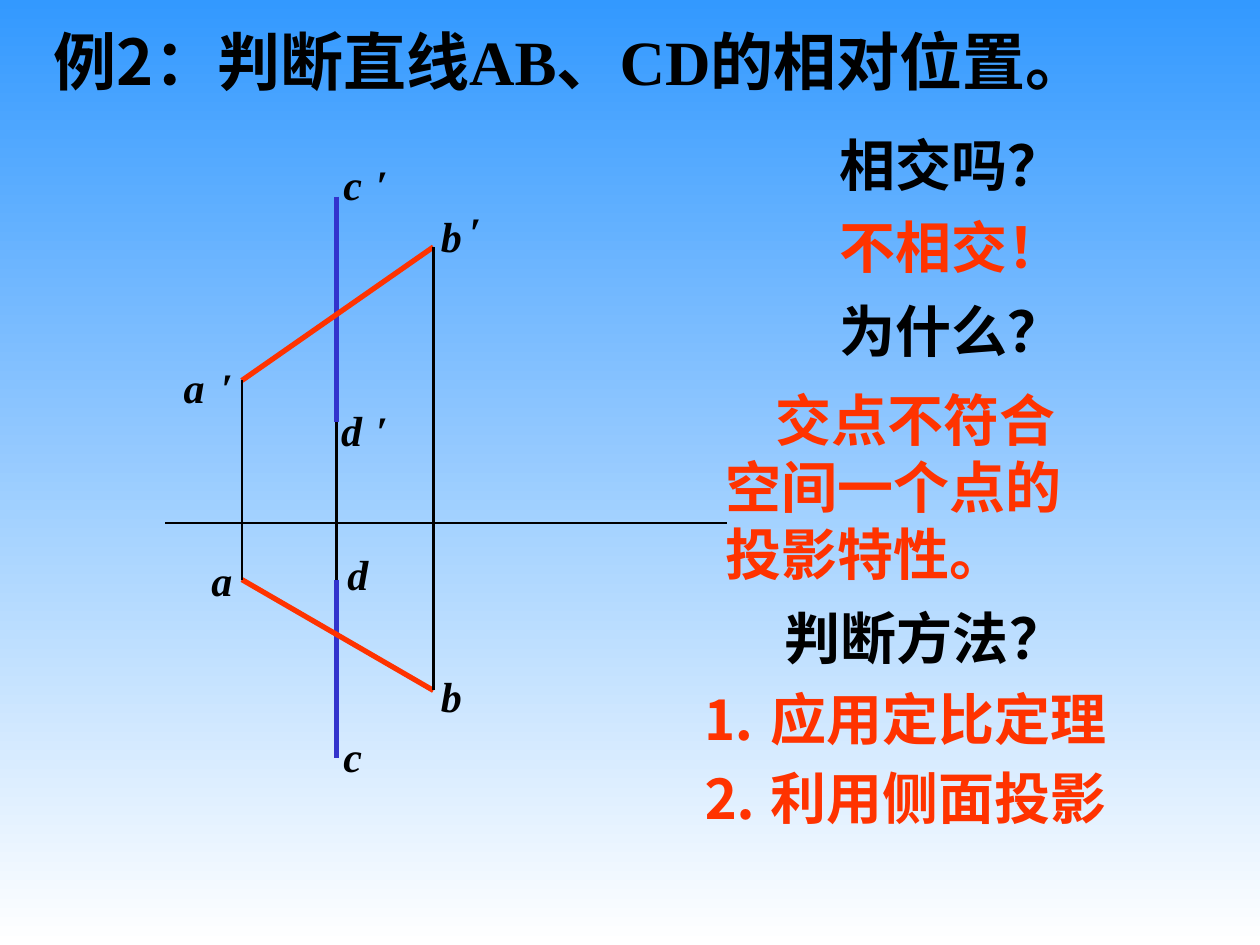
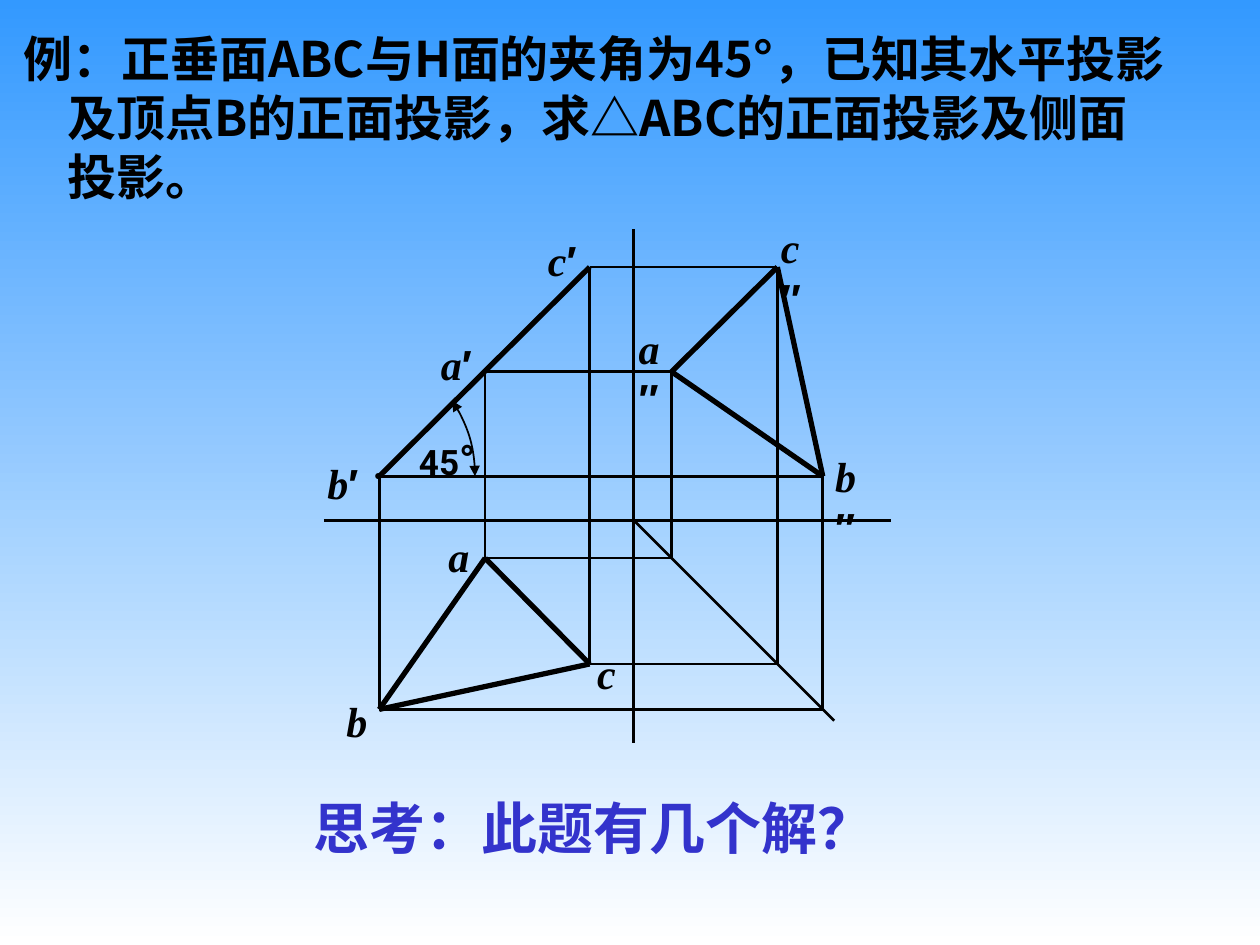
from lxml import etree
from pptx import Presentation
from pptx.dml.color import RGBColor
from pptx.enum.shapes import MSO_CONNECTOR as Connector, MSO_SHAPE as Shape
from pptx.enum.text import MSO_ANCHOR as Anchor, MSO_AUTO_SIZE as AutoSize, PP_ALIGN as Align
from pptx.oxml.ns import qn
from pptx.util import Inches, Pt

COLORS = {"sky": "3399FF", "white": "FFFFFF", "black": "000000", "blue": "3333CC", "red": "FF3300"}
SERIF, SANS, CJK, DIGITS = "Times New Roman", "Arial", "Noto Sans CJK SC", "Roboto"
THIN, THICK = 1.5, 3
PRIME = "′"


def rgb(name):
    return RGBColor.from_string(COLORS[name])


def add_slide(deck):
    slide = deck.slides.add_slide(deck.slide_layouts[6])
    fill = slide.background.fill
    fill.gradient()
    fill.gradient_angle = 270
    for stop, color in zip(fill.gradient_stops, ("sky", "white")):
        stop.color.rgb = rgb(color)
    return slide


def add_line(slide, start, end, color="black", width=THIN):
    line = slide.shapes.add_connector(
        Connector.STRAIGHT, *(Inches(value) for value in (*start, *end)))
    line.line.color.rgb = rgb(color)
    line.line.width = Pt(width)
    etree.SubElement(line._element.spPr, qn("a:effectLst"))


def add_run(paragraph, size, color, text, font, italic=False, own_size=None):
    run = paragraph.add_run()
    run.text = text
    run.font.size = Pt(own_size or size)
    run.font.name = font
    run.font.bold = True
    run.font.italic = italic
    run.font.color.rgb = rgb(color)


def add_text(slide, box, lines, size, color="black", wrap=False,
             anchor=Anchor.MIDDLE, align=Align.LEFT, indents=None, first_indent=0):
    frame = slide.shapes.add_textbox(*(Inches(value) for value in box)).text_frame
    frame.word_wrap = wrap
    frame.auto_size = AutoSize.SHAPE_TO_FIT_TEXT
    frame.vertical_anchor = anchor
    for index, runs in enumerate(lines):
        paragraph = frame.add_paragraph() if index else frame.paragraphs[0]
        paragraph.alignment = align
        properties = paragraph._p.get_or_add_pPr()
        properties.set("marL", str(Inches(indents[index] if indents else 0)))
        properties.set("indent", str(Inches(first_indent)))
        for run in runs:
            add_run(paragraph, size, color, *run)


def add_label(slide, left, top, text, width=0.36):
    add_text(slide, (left, top, width, 0.5), [[(text, SERIF, text != PRIME)]], 24,
             align=Align.CENTER)


def add_point_label(slide, left, top, letter, primes="", width=0.48):
    runs = [(letter, SERIF, True)]
    if primes:
        runs.append((primes, SANS))
    add_text(slide, (left, top, width, 0.5), [runs], 24, wrap=primes == "″", anchor=Anchor.TOP)


def add_angle_mark(slide, center, radii, degrees):
    (x, y), (rx, ry) = center, radii
    arc = slide.shapes.add_shape(
        Shape.ARC, Inches(x - rx), Inches(y - ry), Inches(2 * rx), Inches(2 * ry))
    arc.shadow.inherit = False
    arc.fill.background()
    arc.adjustments[0] = (360 - degrees) * 0.6
    arc.adjustments[1] = 0
    arc.line.color.rgb = rgb("black")
    arc.line.width = Pt(1)
    for end in ("a:headEnd", "a:tailEnd"):
        etree.SubElement(arc.line._get_or_add_ln(), qn(end), type="triangle")
    add_line(slide, center, (x + 0.87, y), width=1)


def build_crossing_lines(deck):
    slide = add_slide(deck)
    add_text(slide, (0.33, 0.13, 9.13, 0.7),
             [[("例", SERIF), ("2", CJK), ("：判断直线AB、CD的相对位置。", SERIF)]], 36)

    a_x, b_x, cd_x = 1.92, 3.44, 2.67
    add_line(slide, (1.31, 4.15), (5.77, 4.15))
    for top, bottom, color, width in ((1.56, 3.35, "blue", THICK), (3.35, 4.6, "black", THIN),
                                      (4.6, 6.02, "blue", THICK)):
        add_line(slide, (cd_x, top), (cd_x, bottom), color, width)
    for a_y, b_y in ((3.02, 1.96), (4.6, 5.48)):
        add_line(slide, (a_x, a_y), (b_x, b_y), "red", THICK)
    add_line(slide, (a_x, 4.6), (a_x, 3.02))
    add_line(slide, (b_x, 5.48), (b_x, 1.96))

    for left, top, letter in ((2.62, 1.21, "c"), (1.36, 2.82, "a"), (3.4, 1.62, "b"),
                              (2.61, 3.16, "d"), (1.58, 4.35, "a"), (3.4, 5.27, "b"),
                              (2.62, 5.75, "c"), (2.66, 4.3, "d")):
        add_label(slide, left, top, letter)
    for left, top in ((2.89, 1.21), (1.66, 2.82), (3.63, 1.58), (2.89, 3.16)):
        add_label(slide, left, top, PRIME, 0.29)

    for left, top, width, text, color in ((6.56, 0.98, 1.98, "相交吗？", "black"),
                                          (6.56, 1.63, 1.98, "不相交！", "red"),
                                          (6.56, 2.3, 1.98, "为什么？", "black"),
                                          (5.91, 4.74, 2.42, "判断方法？", "black")):
        add_text(slide, (left, top, width, 0.64), [[(text, SERIF)]], 32, color, align=Align.CENTER)
    add_text(slide, (5.66, 3.01, 3.24, 1.7), [[("交点不符合空间一个点的投影特性。", SERIF)]],
             32, "red", wrap=True, first_indent=0.4)
    for top, method in ((5.38, "⒈ 应用定比定理"), (6.01, "⒉ 利用侧面投影")):
        add_text(slide, (5.47, top, 4.06, 0.64), [[(method, SERIF)]], 32, "red", wrap=True)


def build_triangle_projections(deck):
    slide = add_slide(deck)
    origin_x, origin_y = 5.03, 4.13
    add_line(slide, (2.57, origin_y), (7.07, origin_y))
    add_line(slide, (origin_x, 1.82), (origin_x, 5.9))
    add_line(slide, (origin_x, origin_y), (origin_x + 1.59, origin_y + 1.59))

    front, plan, side = [], [], []
    for x, front_y, plan_y in ((3.85, 2.95, 4.43), (3.01, 3.78, 5.63), (4.68, 2.12, 5.27)):
        side_x = origin_x + plan_y - origin_y
        corners = [(x, front_y), (side_x, front_y), (side_x, plan_y), (x, plan_y)]
        for start, end in zip(corners, corners[1:] + corners[:1]):
            add_line(slide, start, end)
        front.append(corners[0])
        side.append(corners[1])
        plan.append(corners[3])
    add_line(slide, front[1], front[2], width=THICK)
    for triangle in (plan, side):
        for start, end in zip(triangle, triangle[1:] + triangle[:1]):
            add_line(slide, start, end, width=THICK)

    for label in ((3.4, 2.64, "a", PRIME), (4.25, 1.81, "c", PRIME), (2.5, 3.58, "b", PRIME),
                  (6.53, 3.53, "b", "″", 0.52), (6.1, 1.71, "c", "″", 0.5),
                  (4.97, 2.51, "a", "″", 0.52), (3.46, 4.16, "a", "", 0.36),
                  (2.65, 5.47, "b", "", 0.36), (4.64, 5.09, "c", "", 0.35)):
        add_point_label(slide, *label)
    add_text(slide, (2.87, 3.65, 0.29, 0.24), [[("●", SANS)]], 8, anchor=Anchor.TOP)
    add_angle_mark(slide, front[1], (0.76, 0.92), 46)
    add_text(slide, (3.22, 3.39, 0.66, 0.5), [[("45", DIGITS), ("°", DIGITS, False, 24)]],
             20, align=Align.CENTER)

    add_text(slide, (0.09, 0.18, 9.9, 1.5),
             [[("例", SANS), ("：正垂面ABC与H面的夹角为45°，已知其水平投影", CJK)],
              [("及顶点B的正面投影，求△ABC的正面投影及侧面", CJK)],
              [("投影。", CJK)]],
             28, anchor=Anchor.TOP, indents=(0, 0.35, 0.35))
    add_text(slide, (2.39, 6.25, 4.65, 0.64), [[("思考：此题有几个解？", "Cambria")]],
             32, "blue", anchor=Anchor.TOP)


def main():
    deck = Presentation()
    deck.slide_width, deck.slide_height = Inches(10), Inches(7.5)
    build_crossing_lines(deck)
    build_triangle_projections(deck)
    deck.save("out.pptx")


if __name__ == "__main__":
    main()
